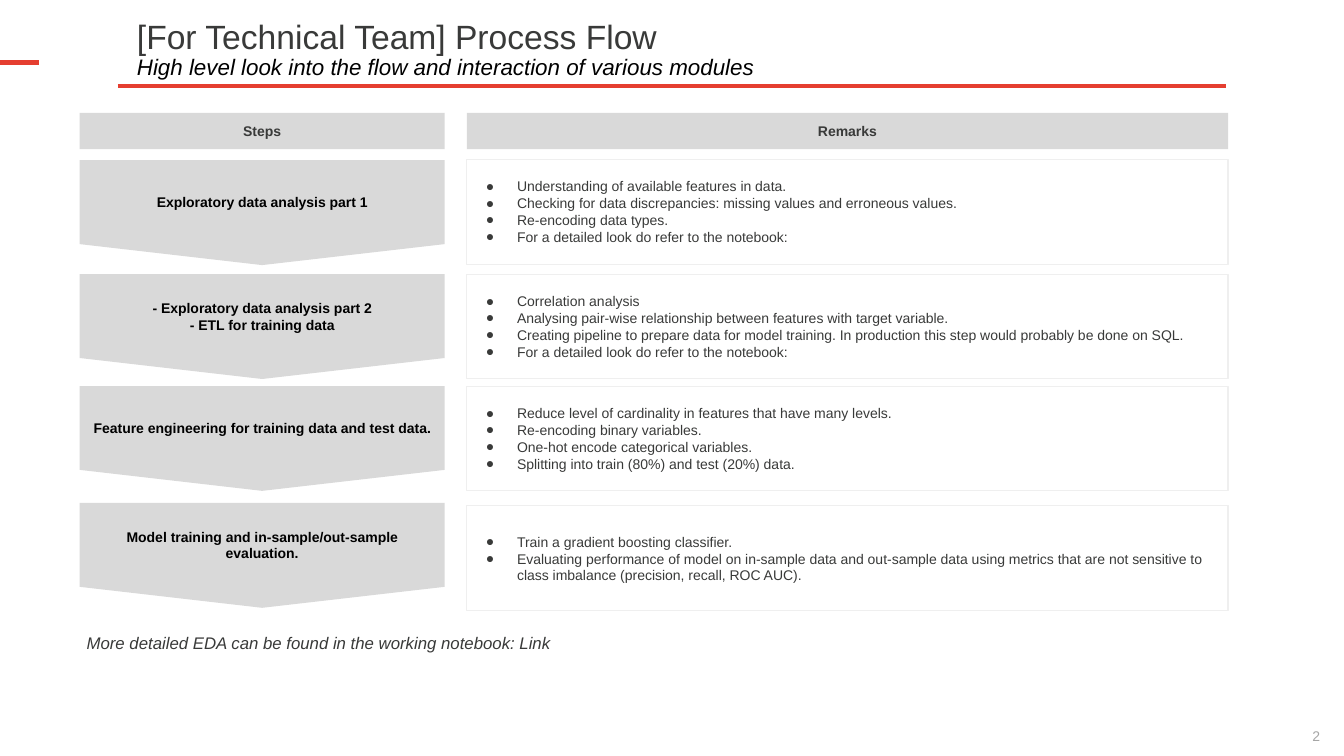
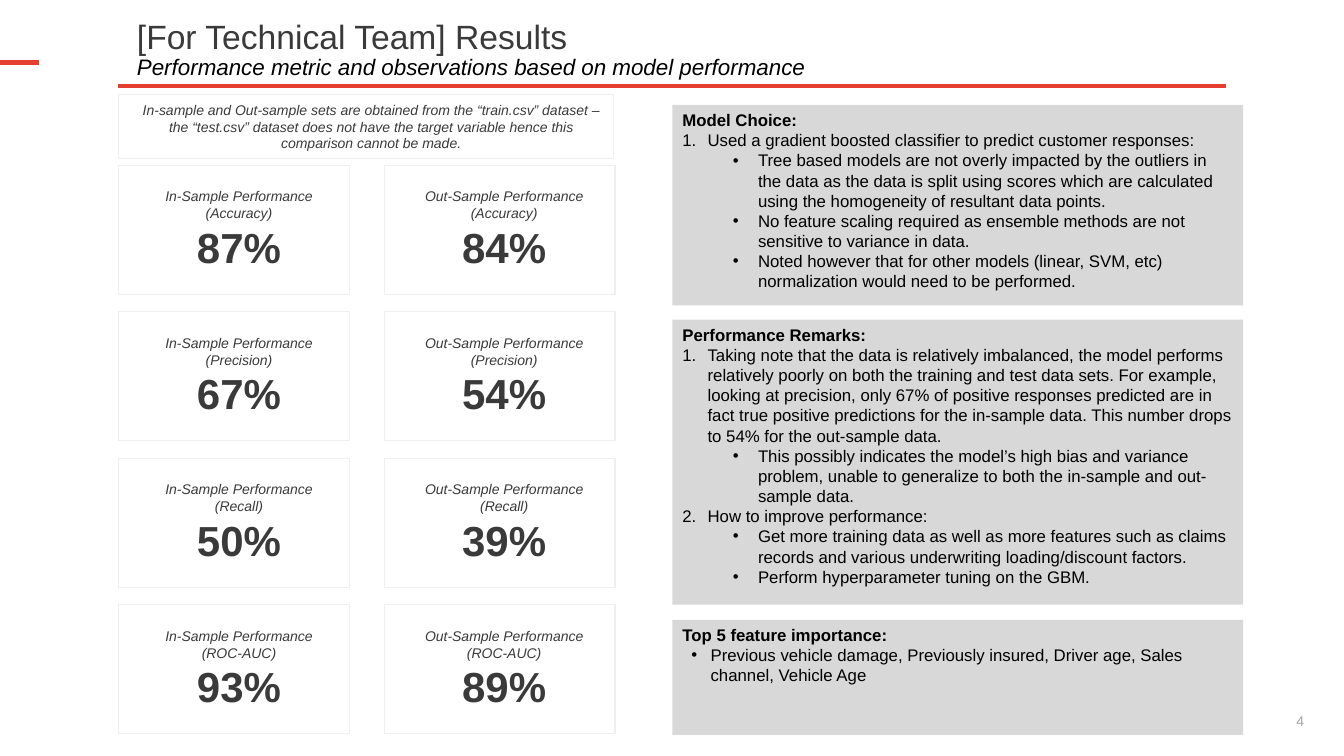
"""Build the process flow and results slides for the technical team."""
import dataclasses

import lxml.etree
import pptx
import pptx.dml.color
import pptx.enum.shapes
import pptx.enum.text
import pptx.oxml.ns
import pptx.util

Inches = pptx.util.Inches
Pt = pptx.util.Pt
RGB = pptx.dml.color.RGBColor.from_string
SHAPE = pptx.enum.shapes.MSO_SHAPE
ANCHOR = pptx.enum.text.MSO_ANCHOR
ALIGN = pptx.enum.text.PP_ALIGN
qn = pptx.oxml.ns.qn


def font(size, color, **extra):
    return dict(name="Arial", size=Pt(size), color=RGB(color), **extra)


@dataclasses.dataclass(frozen=True)
class Theme:
    accent = "E53E30"
    white = "FFFFFF"
    border = "EFEFEF"
    band = "D9D9D9"
    panel = "D7D8D7"
    title = font(24, "393A39")
    subtitle = font(16, "000000", italic=True)
    number = font(10, "A6A6A6")
    header = font(10, "393A39", bold=True)
    step = font(10, "000000", bold=True)
    body = font(10, "393A39")
    caption = font(10, "393A39", italic=True)
    metric = font(30, "393A39", bold=True)
    note = font(12, "393A39", italic=True)
    panel_head = font(12, "000000", bold=True)
    panel_body = font(12, "000000")


PLAIN = dict()
CENTER = dict(align=ALIGN.CENTER)
CARD = dict(align=ALIGN.CENTER, left=0.09)
NOTE = dict(left=0.09)
REMARK = dict(left=0.4, hang=0.31, bullet="●")
NUMBERED = dict(left=0.25, hang=0.25, bullet="1.")
SUB = dict(left=0.75, hang=0.25, bullet="•", level=1)
TOP_ITEM = dict(left=0.28, hang=0.19, bullet="•")


class Deck:
    def __init__(self, theme):
        self.theme = theme
        self.prs = pptx.Presentation()
        self.prs.slide_width = Inches(13.33)
        self.prs.slide_height = Inches(7.5)
        self.s = None

    def slide(self, title, subtitle, number, number_at):
        t = self.theme
        self.s = self.prs.slides.add_slide(self.prs.slide_layouts[6])
        self.line(1.17, 0.85, 12.16)
        self.line(0, 0.62, 0.39)
        tf = self.textbox((1.26, 0, 10.81, 0.85), ANCHOR.BOTTOM)
        p = tf.paragraphs[0]
        p.line_spacing = 0.9
        self.add_text(p, title, t.title)
        p.add_line_break()
        self.add_text(p, subtitle, t.subtitle)
        tf = self.textbox((*number_at, 0.55, 0.4), ANCHOR.MIDDLE)
        self.fill_text(tf, [(number, t.number, CENTER)])

    def line(self, left, top, right):
        ends = map(Inches, (left, top, right, top))
        cn = self.s.shapes.add_connector(pptx.enum.shapes.MSO_CONNECTOR.STRAIGHT, *ends)
        cn.line.color.rgb = RGB(self.theme.accent)
        cn.line.width = Pt(3)
        lxml.etree.SubElement(cn._element.spPr, qn("a:effectLst"))

    def textbox(self, at, anchor):
        tf = self.s.shapes.add_textbox(*map(Inches, at)).text_frame
        tf.word_wrap = True
        tf.vertical_anchor = anchor
        return tf

    def box(self, at, fill, paras, line=None, shape=SHAPE.RECTANGLE,
            anchor=ANCHOR.MIDDLE, inset=0.1):
        sp = self.s.shapes.add_shape(shape, *map(Inches, at))
        sp.shadow.inherit = False
        sp.fill.solid()
        sp.fill.fore_color.rgb = RGB(fill)
        if line:
            sp.line.color.rgb = RGB(line)
            sp.line.width = Pt(0.75)
        else:
            sp.line.fill.background()
        tf = sp.text_frame
        layout = dict(word_wrap=True, vertical_anchor=anchor,
                      margin_top=Inches(inset), margin_bottom=Inches(inset))
        for key, value in layout.items():
            setattr(tf, key, value)
        self.fill_text(tf, paras)

    def card(self, at, paras):
        self.box(at, self.theme.white, paras, line=self.theme.border)

    def step(self, at, lines):
        paras = [(text, self.theme.step, CENTER) for text in lines]
        self.box(at, self.theme.band, paras, inset=0.05,
                 shape=SHAPE.FLOWCHART_OFFPAGE_CONNECTOR)

    def panel(self, at, heading, items):
        t = self.theme
        paras = [(heading, t.panel_head, PLAIN)]
        paras += [(text, t.panel_body, style) for style, text in items]
        self.box(at, t.panel, paras, anchor=ANCHOR.TOP, inset=0.05)

    def fill_text(self, tf, paras):
        for i, (text, fmt, style) in enumerate(paras):
            p = tf.add_paragraph() if i else tf.paragraphs[0]
            p.alignment = style.get("align", ALIGN.LEFT)
            p.level = style.get("level", 0)
            self.indent(p, style)
            self.add_text(p, text, fmt)

    def indent(self, p, style):
        pPr = p._p.get_or_add_pPr()
        pPr.set("marL", str(Inches(style.get("left", 0))))
        pPr.set("indent", str(-Inches(style.get("hang", 0))))
        bullet = style.get("bullet")
        if bullet:
            lxml.etree.SubElement(pPr, qn("a:buFont"), typeface="Arial")
            if bullet == "1.":
                lxml.etree.SubElement(pPr, qn("a:buAutoNum"), type="arabicPeriod")
            else:
                lxml.etree.SubElement(pPr, qn("a:buChar"), char=bullet)

    def add_text(self, p, text, fmt):
        r = p.add_run()
        r.text = text
        for key, value in fmt.items():
            if key == "color":
                r.font.color.rgb = value
            else:
                setattr(r.font, key, value)


FLOW = [
    (1.59, 1.58, ["Exploratory data analysis part 1"],
     ["Understanding of available features in data.",
      "Checking for data discrepancies: missing values and erroneous values.",
      "Re-encoding data types.",
      "For a detailed look do refer to the notebook:"]),
    (2.72, 2.72, ["- Exploratory data analysis part 2", "- ETL for training data"],
     ["Correlation analysis",
      "Analysing pair-wise relationship between features with target variable.",
      "Creating pipeline to prepare data for model training. "
      "In production this step would probably be done on SQL.",
      "For a detailed look do refer to the notebook:"]),
    (3.83, 3.83, ["Feature engineering for training data and test data."],
     ["Reduce level of cardinality in features that have many levels.",
      "Re-encoding binary variables.",
      "One-hot encode categorical variables.",
      "Splitting into train (80%) and test (20%) data."]),
    (4.99, 5.02, ["Model training and in-sample/out-sample evaluation."],
     ["Train a gradient boosting classifier.",
      "Evaluating performance of model on in-sample data and out-sample data using "
      "metrics that are not sensitive to class imbalance (precision, recall, ROC AUC)."]),
]

METRICS = [
    ("Accuracy", "87%", "84%"),
    ("Precision", "67%", "54%"),
    ("Recall", "50%", "39%"),
    ("ROC-AUC", "93%", "89%"),
]

PANELS = [
    (1.04, 1.99, "Model Choice:", [
        (NUMBERED, "Used a gradient boosted classifier to predict customer responses:"),
        (SUB, "Tree based models are not overly impacted by the outliers in the data as "
              "the data is split using scores which are calculated using the homogeneity "
              "of resultant data points."),
        (SUB, "No feature scaling required as ensemble methods are not sensitive to "
              "variance in data."),
        (SUB, "Noted however that for other models (linear, SVM, etc) normalization "
              "would need to be performed.")]),
    (3.17, 2.83, "Performance Remarks:", [
        (NUMBERED, "Taking note that the data is relatively imbalanced, the model performs "
                   "relatively poorly on both the training and test data sets. For example, "
                   "looking at precision, only 67% of positive responses predicted are in "
                   "fact true positive predictions for the in-sample data. This number "
                   "drops to 54% for the out-sample data."),
        (SUB, "This possibly indicates the model’s high bias and variance problem, unable "
              "to generalize to both the in-sample and out-sample data."),
        (NUMBERED, "How to improve performance:"),
        (SUB, "Get more training data as well as more features such as claims records and "
              "various underwriting loading/discount factors."),
        (SUB, "Perform hyperparameter tuning on the GBM.")]),
    (6.15, 1.14, "Top 5 feature importance:", [
        (TOP_ITEM, "Previous vehicle damage, Previously insured, Driver age, Sales channel, "
                   "Vehicle Age")]),
]


def process_flow(deck):
    t = deck.theme
    deck.slide("[For Technical Team] Process Flow",
               "High level look into the flow and interaction of various modules",
               "2", (12.78, 7.1))
    columns = [(0.79, 3.62), (4.63, 7.55)]
    for (left, width), text in zip(columns, ("Steps", "Remarks")):
        deck.box((left, 1.12, width, 0.36), t.band, [(text, t.header, CENTER)])
    (step_left, step_width), (remark_left, remark_width) = columns
    for step_top, remark_top, step, remarks in FLOW:
        deck.step((step_left, step_top, step_width, 1.04), step)
        deck.card((remark_left, remark_top, remark_width, 1.04),
                  [(text, t.body, REMARK) for text in remarks])
    deck.box((0.67, 6.25, 5.69, 0.26), t.white,
             [("More detailed EDA can be found in the working notebook: Link", t.note, NOTE)])


def results(deck):
    t = deck.theme
    deck.slide("[For Technical Team] Results",
               "Performance metric and observations based on model performance",
               "4", (12.62, 6.95))
    deck.card((1.18, 0.94, 4.91, 0.63), [(
        "In-sample and Out-sample sets are obtained from the “train.csv” dataset – the "
        "“test.csv” dataset does not have the target variable hence this comparison "
        "cannot be made.", t.caption, CARD)])
    first, last = 1.64, 6
    pitch = (last - first) / (len(METRICS) - 1)
    for row, (metric, *values) in enumerate(METRICS):
        for left, sample, value in zip((1.18, 3.81), ("In", "Out"), values):
            deck.card((left, first + row * pitch, 2.29, 1.28),
                      [(f"{sample}-Sample Performance", t.caption, CARD),
                       (f"({metric})", t.caption, CARD),
                       (value, t.metric, CARD)])
    for top, height, heading, items in PANELS:
        deck.panel((6.67, top, 5.66, height), heading, items)


def main():
    deck = Deck(Theme())
    process_flow(deck)
    results(deck)
    deck.prs.save("out.pptx")


if __name__ == "__main__":
    main()
